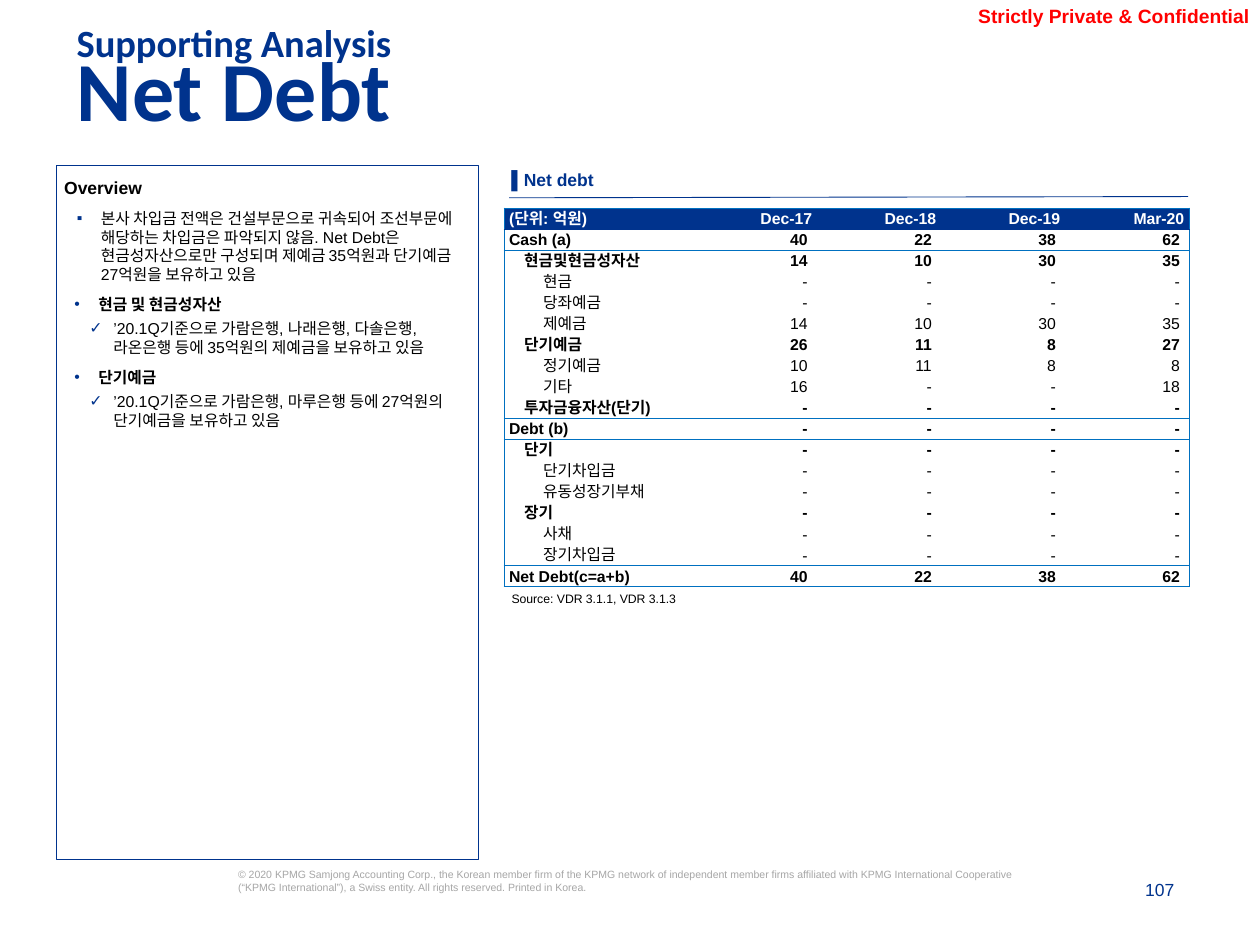
from lxml import etree
from pptx import Presentation
from pptx.dml.color import RGBColor
from pptx.enum.shapes import MSO_CONNECTOR, MSO_SHAPE
from pptx.enum.text import MSO_ANCHOR as ANCHOR, MSO_AUTO_SIZE as AUTO, PP_ALIGN as ALIGN
from pptx.oxml.ns import qn
from pptx.util import Inches, Pt

NAVY, BLUE, BLACK, WHITE = "00338D", "0070C0", "000000", "FFFFFF"


def color(hex_value):
    return RGBColor.from_string(hex_value)


def style_text(frame, text, size, hex_value, insets=(0, 0, 0, 0), bold=False,
               font="Arial", **formats):
    """Fill a text frame with one paragraph; formats go to the paragraph."""
    frame.word_wrap = True
    frame.auto_size = AUTO.NONE
    for side, inset in zip(("left", "top", "right", "bottom"), insets):
        setattr(frame, "margin_" + side, Inches(inset))
    paragraph = frame.paragraphs[0]
    paragraph.text = text
    for name, value in formats.items():
        setattr(paragraph, name, value)
    for name, value in {"name": font, "size": Pt(size), "bold": bold}.items():
        setattr(paragraph.font, name, value)
    paragraph.font.color.rgb = color(hex_value)


prs = Presentation()
prs.slide_width, prs.slide_height = Inches(10), Inches(7.5)
slide = prs.slides.add_slide(prs.slide_layouts[5])
shapes = slide.shapes

# Title and the line above it
title = shapes.title
title.left, title.top, title.width, title.height = map(Inches, (0.51, 0.47, 9.4, 0.79))
section = shapes.add_textbox(*map(Inches, (0.51, 0.2, 9.4, 0.31)))
for heading, text, size in ((title, "Net Debt", 48), (section, "Supporting Analysis", 22)):
    style_text(heading.text_frame, text, size, NAVY, (0.1, 0.05, 0.1, 0), True,
               "Calibri", line_spacing=0.7, alignment=ALIGN.LEFT)
    heading.text_frame.vertical_anchor = ANCHOR.TOP

# Single-paragraph texts: confidentiality mark, footer, page number, table heading, source
labels = [
    ((7.46, 0, 2.5, 0.26), ANCHOR.BOTTOM, "Strictly Private & Confidential", 11, "FF0000",
     {"insets": (0, 0.04, 0.04, 0.04), "bold": True, "alignment": ALIGN.RIGHT}),
    ((1.89, 6.89, 6.36, 0.42), ANCHOR.TOP,
     "© 2020 KPMG Samjong Accounting Corp., the Korean member firm of the KPMG network of "
     "independent member firms affiliated with KPMG International Cooperative "
     "(“KPMG International”), a Swiss entity. All rights reserved. Printed in Korea.",
     6, "A6A6A6", {}),
    ((8.01, 6.98, 1.31, 0.16), ANCHOR.BOTTOM, "107", 10, NAVY, {"alignment": ALIGN.RIGHT}),
    ((4.06, 1.21, 5.4, 0.39), ANCHOR.MIDDLE, "▌Net debt", 10, NAVY,
     {"bold": True, "line_spacing": 1.2}),
    ((4.06, 4.69, 5.65, 0.12), ANCHOR.TOP, "Source: VDR 3.1.1, VDR 3.1.3", 7, BLACK, {}),
]
for box, anchor, text, size, hex_value, formats in labels:
    label = shapes.add_textbox(*map(Inches, box))
    style_text(label.text_frame, text, size, hex_value, **formats)
    label.text_frame.vertical_anchor = anchor

# Overview panel
overview = shapes.add_shape(MSO_SHAPE.RECTANGLE, *map(Inches, (0.45, 1.31, 3.35, 5.51)))
overview.shadow.inherit = False
overview.fill.background()
overview.line.color.rgb = color(NAVY)
overview.line.width = Pt(0.5)
frame = overview.text_frame
style_text(frame, "Overview", 10, BLACK, (0.06,) * 4, True,
           line_spacing=1.2, alignment=ALIGN.LEFT)
frame.vertical_anchor = ANCHOR.TOP

# Bullet, indent, space before, bold, text
points = [
    ("▪", 0.29, 6, False, "본사 차입금 전액은 건설부문으로 귀속되어 조선부문에 해당하는 차입금은 파악되지 않음. "
     "Net Debt은 현금성자산으로만 구성되며 제예금 35억원과 단기예금 27억원을 보유하고 있음"),
    ("•", 0.27, 6, True, "현금 및 현금성자산"),
    ("✓", 0.39, 3, False, "’20.1Q기준으로 가람은행, 나래은행, 다솔은행, 라온은행 등에 "
     "35억원의 제예금을 보유하고 있음"),
    ("•", 0.27, 6, True, "단기예금"),
    ("✓", 0.39, 3, False, "’20.1Q기준으로 가람은행, 마루은행 등에 27억원의 단기예금을 보유하고 있음"),
]
for bullet, indent, space, bold, text in points:
    point = frame.add_paragraph()
    point.text = text
    point.level = 1
    point.alignment = ALIGN.LEFT
    point.space_before = Pt(space)
    props = point._p.get_or_add_pPr()
    props.set("marL", str(Inches(indent)))
    props.set("indent", str(Inches(-0.19)))
    bullet_color = etree.SubElement(props, qn("a:buClr"))
    etree.SubElement(bullet_color, qn("a:srgbClr"), val=NAVY)
    etree.SubElement(props, qn("a:buFont"), typeface="Arial")
    etree.SubElement(props, qn("a:buChar"), char=bullet)
    for name, value in {"name": "Arial", "size": Pt(9), "bold": bold}.items():
        setattr(point.font, name, value)
    point.font.color.rgb = color(BLACK)

# Rule under the table heading
rule = shapes.add_connector(MSO_CONNECTOR.STRAIGHT, *map(Inches, (4.04, 1.57, 9.43, 1.56)))
rule.line.color.rgb = color(NAVY)
rule.line.width = Pt(0.5)
etree.SubElement(rule._element.spPr, qn("a:effectLst"))

# Net debt table: indent level, label, values by date
dashes = ["-"] * 4
rows = [
    (0, "(단위: 억원)", ["Dec-17", "Dec-18", "Dec-19", "Mar-20"]),
    (0, "Cash (a)", [40, 22, 38, 62]),
    (1, "현금및현금성자산", [14, 10, 30, 35]),
    (2, "현금", dashes),
    (2, "당좌예금", dashes),
    (2, "제예금", [14, 10, 30, 35]),
    (1, "단기예금", [26, 11, 8, 27]),
    (2, "정기예금", [10, 11, 8, 8]),
    (2, "기타", [16, "-", "-", 18]),
    (1, "투자금융자산(단기)", dashes),
    (0, "Debt (b)", dashes),
    (1, "단기", dashes),
    (2, "단기차입금", dashes),
    (2, "유동성장기부채", dashes),
    (1, "장기", dashes),
    (2, "사채", dashes),
    (2, "장기차입금", dashes),
    (0, "Net Debt(c=a+b)", [40, 22, 38, 62]),
]
# Horizontal lines, keyed by the row they run below
thin = (BLUE, 0.5)
lines_below = {-1: thin, 0: (NAVY, 0.5), 1: thin, 9: thin, 10: thin, 16: thin, 17: (BLUE, 1)}

net_debt = shapes.add_table(len(rows), 5, *map(Inches, (4, 1.65, 5.44, 3.01))).table
net_debt.first_row = net_debt.horz_banding = False
no_style = "{2D5ABB26-0587-4C30-8999-92F81FD0307C}"
net_debt._tbl.tblPr.find(qn("a:tableStyleId")).text = no_style
for c, column in enumerate(net_debt.columns):
    column.width = Inches((5.44 - 1.5) / 4 if c else 1.5)
for r, (level, label, values) in enumerate(rows):
    net_debt.rows[r].height = Inches(3.01 / len(rows))
    for c, value in enumerate([label] + values):
        cell = net_debt.cell(r, c)
        borders = {"a:lnL": thin if c == 0 else None, "a:lnR": thin if c == 4 else None,
                   "a:lnT": lines_below.get(r - 1), "a:lnB": lines_below.get(r)}
        for tag, border in borders.items():
            line = etree.SubElement(cell._tc.get_or_add_tcPr(), qn(tag))
            if border:
                line.set("w", str(Pt(border[1])))
                fill = etree.SubElement(line, qn("a:solidFill"))
                etree.SubElement(fill, qn("a:srgbClr"), val=border[0])
            else:
                etree.SubElement(line, qn("a:noFill"))
        cell.fill.solid()
        cell.fill.fore_color.rgb = color(WHITE if r else NAVY)
        cell.vertical_anchor = ANCHOR.MIDDLE
        indented = c == 0 and level > 0
        korean = indented or r == c == 0
        cell.margin_left = Inches((0.04, 0.16, 0.31)[level] if indented else 0.04)
        cell.margin_right = Inches(0.01 if indented else 0.04)
        cell.margin_top, cell.margin_bottom = Inches(0.02 if korean else 0.01), 0
        paragraph = cell.text_frame.paragraphs[0]
        paragraph.text = f"{value} " if r and c else value
        paragraph.alignment = ALIGN.RIGHT if c else ALIGN.LEFT
        if korean:  # taller glyphs must not stretch the row
            paragraph.line_spacing = Pt(10.5)
        for name, setting in {"name": "Arial", "size": Pt(9), "bold": level < 2}.items():
            setattr(paragraph.font, name, setting)
        paragraph.font.color.rgb = color(BLACK if r else WHITE)

prs.save("out.pptx")
